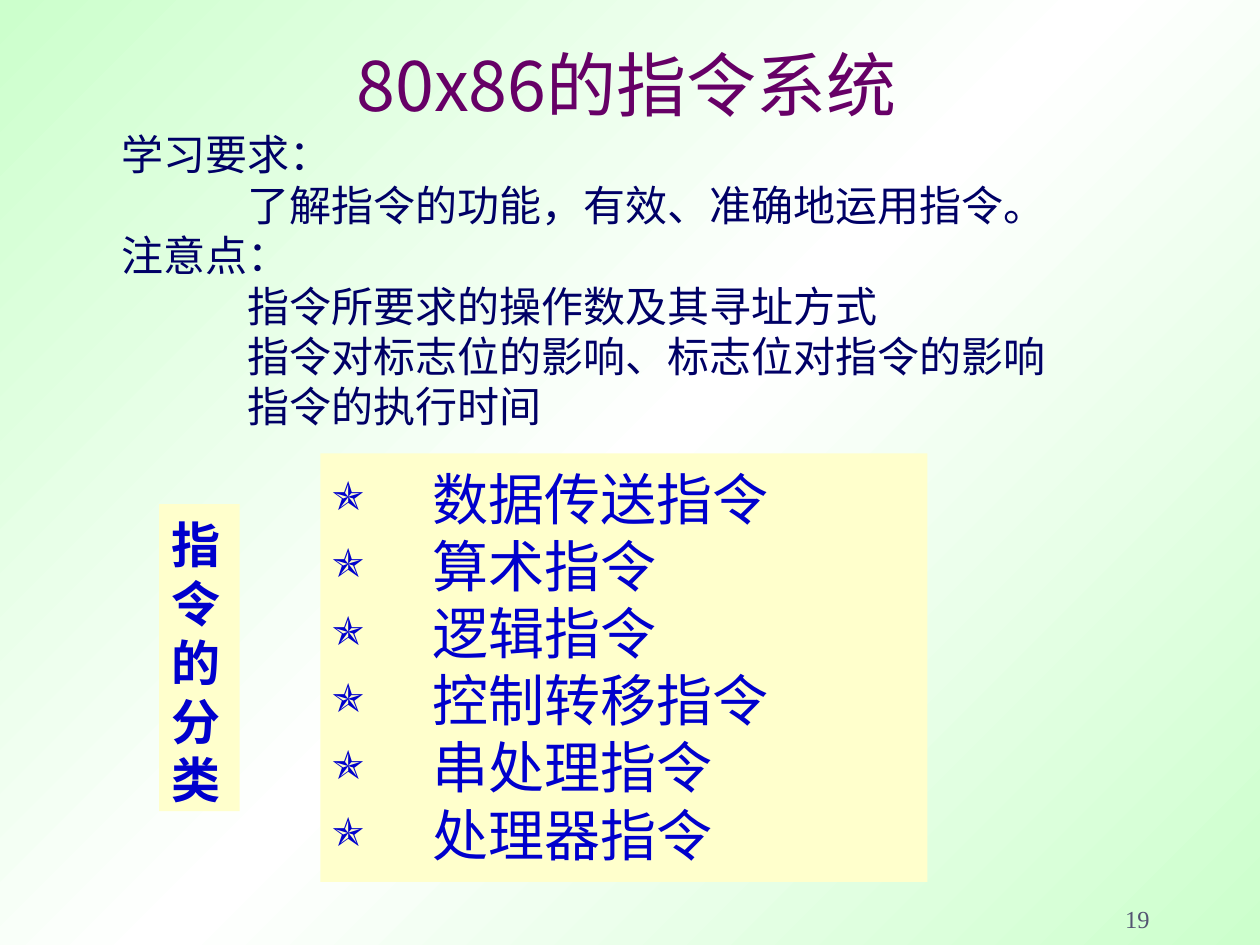
import copy
from dataclasses import dataclass

import pptx
import pptx.util
import pptx.dml.color
import pptx.enum.text
import pptx.oxml
import pptx.oxml.ns


@dataclass(frozen=True)
class Theme:
    mint: str = "CCFFCC"
    white: str = "FFFFFF"
    cream: str = "FFFFCC"
    purple: str = "660066"
    navy: str = "000066"
    blue: str = "0000CC"
    slate: str = "545472"
    sans_sc: str = "Noto Sans CJK SC"
    sans_jp: str = "Noto Sans CJK JP"
    serif: str = "Times New Roman"
    title_size: int = 40
    list_size: int = 32
    label_size: int = 28
    study_size: int = 24
    number_size: int = 14
    leading: float = 1.2


THEME = Theme()
TOP = pptx.enum.text.MSO_ANCHOR.TOP
BOTTOM = pptx.enum.text.MSO_ANCHOR.BOTTOM


def rgb(code):
    return pptx.dml.color.RGBColor.from_string(code)


def add_child(parent, tag, **attributes):
    child = parent.makeelement(pptx.oxml.ns.qn(tag), attributes)
    parent.append(child)
    return child


def add_text_frame(slide, box, anchor=TOP, top=6.2, bottom=3.6, fill=None):
    """Add a wrapped text area; box is left, top, width, height in points."""
    area = slide.shapes.add_textbox(*(pptx.util.Pt(length) for length in box))
    if fill:
        area.fill.solid()
        area.fill.fore_color.rgb = rgb(fill)
    frame = area.text_frame
    frame.word_wrap = True
    frame.vertical_anchor = anchor
    frame.margin_top = pptx.util.Pt(top)
    frame.margin_bottom = pptx.util.Pt(bottom)
    return frame


def style(paragraph, size, color, latin, east_asian=None, bold=False):
    font = paragraph.font
    font.size, font.bold, font.name = pptx.util.Pt(size), bold, latin
    font.color.rgb = rgb(color)
    properties = paragraph._p.get_or_add_pPr().find(pptx.oxml.ns.qn("a:defRPr"))
    add_child(properties, "a:ea", typeface=east_asian or latin)
    # Runs carry the same properties so that every viewer applies them
    for run in paragraph.runs:
        run_properties = run._r.get_or_add_rPr()
        for name, value in properties.attrib.items():
            run_properties.set(name, value)
        for child in properties:
            run_properties.append(copy.deepcopy(child))


def add_paragraph(frame, index, text):
    paragraph = frame.paragraphs[0] if index == 0 else frame.add_paragraph()
    paragraph.text = text
    return paragraph


def set_leading(paragraph, size):
    paragraph.line_spacing = pptx.util.Pt(size * THEME.leading)


def set_indent(paragraph, left, first=0):
    properties = paragraph._p.get_or_add_pPr()
    properties.set("marL", str(int(pptx.util.Pt(left))))
    properties.set("indent", str(int(pptx.util.Pt(first))))
    return properties


def paint_background(slide):
    fill = slide.background.fill
    fill.gradient()
    fill.gradient_angle = 315
    stop_list = slide.element.find(".//" + pptx.oxml.ns.qn("a:gsLst"))
    stop_list.append(copy.deepcopy(stop_list[-1]))
    colors = (THEME.mint, THEME.white, THEME.mint)
    for stop, color, position in zip(fill.gradient_stops, colors, (0, 0.5, 1)):
        stop.color.rgb = rgb(color)
        stop.position = position


def add_title(slide, box, text):
    frame = add_text_frame(slide, box, BOTTOM, top=0, bottom=0)
    title = add_paragraph(frame, 0, text)
    title.alignment = pptx.enum.text.PP_ALIGN.CENTER
    style(title, THEME.title_size, THEME.purple, THEME.sans_sc)


def add_study_goals(slide, box, goals):
    """Headings stand at the left edge, their points one inch in."""
    frame = add_text_frame(slide, box)
    lines = []
    for heading, points in goals:
        lines.append((heading, 0))
        lines.extend((point, 72) for point in points)
    for index, (text, indent) in enumerate(lines):
        line = add_paragraph(frame, index, text)
        set_leading(line, THEME.study_size)
        set_indent(line, indent)
        style(line, THEME.study_size, THEME.navy, THEME.sans_sc)


def add_instruction_list(slide, box, kinds):
    frame = add_text_frame(slide, box, fill=THEME.cream)
    for index, kind in enumerate(kinds):
        item = add_paragraph(frame, index, kind)
        set_leading(item, THEME.list_size)
        properties = set_indent(item, 57, -57)
        bullet_color = add_child(properties, "a:buClr")
        add_child(bullet_color, "a:srgbClr", val=THEME.blue)
        add_child(properties, "a:buSzPct", val="90000")
        add_child(properties, "a:buChar", char="✯")
        style(item, THEME.list_size, THEME.blue, THEME.sans_jp)


def add_category_label(slide, box, text):
    """The box is one character wide, so the label reads downwards."""
    frame = add_text_frame(slide, box, fill=THEME.cream)
    label = add_paragraph(frame, 0, text)
    set_leading(label, THEME.label_size)
    style(label, THEME.label_size, THEME.blue, THEME.serif, THEME.sans_sc, bold=True)


def add_page_number(slide, box, number):
    frame = add_text_frame(slide, box, BOTTOM, top=3.6)
    page = add_paragraph(frame, 0, number)
    page.alignment = pptx.enum.text.PP_ALIGN.RIGHT
    style(page, THEME.number_size, THEME.slate, THEME.serif)


def main():
    deck = pptx.Presentation()
    deck.slide_width, deck.slide_height = pptx.util.Pt(720), pptx.util.Pt(540)
    slide = deck.slides.add_slide(deck.slide_layouts[6])

    paint_background(slide)
    add_page_number(slide, (514, 501, 150, 36), "19")
    add_title(slide, (52, 19, 612, 53), "80x86的指令系统")
    add_instruction_list(slide, (183, 259, 347, 245), (
        "数据传送指令", "算术指令", "逻辑指令",
        "控制转移指令", "串处理指令", "处理器指令",
    ))
    add_study_goals(slide, (62.5, 67.5, 567.5, 180), (
        ("学习要求：", ("了解指令的功能，有效、准确地运用指令。",)),
        ("注意点：", (
            "指令所要求的操作数及其寻址方式",
            "指令对标志位的影响、标志位对指令的影响",
            "指令的执行时间",
        )),
    ))
    add_category_label(slide, (91, 288, 46, 175.5), "指令的分类")

    deck.save("out.pptx")


if __name__ == "__main__":
    main()
